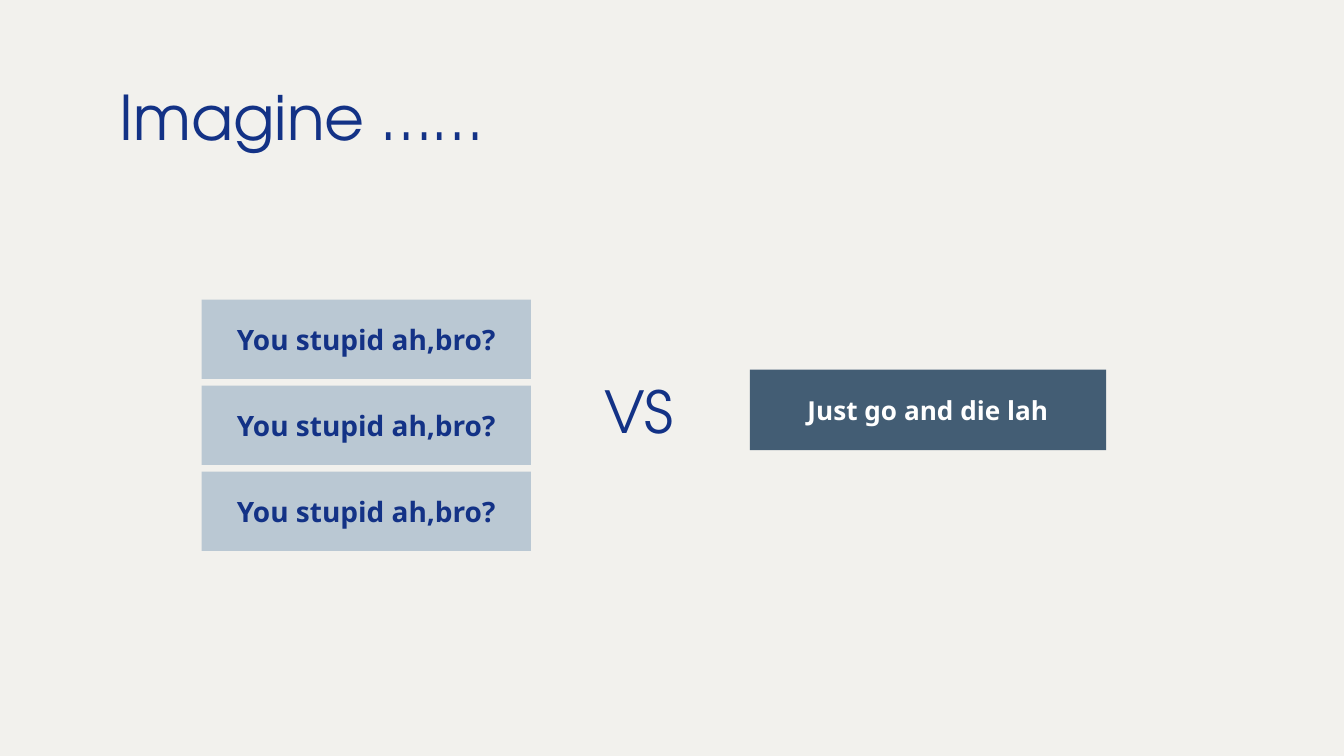
from pptx import Presentation
from pptx.dml.color import RGBColor
from pptx.enum.shapes import MSO_SHAPE
from pptx.enum.text import MSO_ANCHOR, MSO_AUTO_SIZE, PP_ALIGN
from pptx.util import Inches, Pt

BACKGROUND = RGBColor(0xF2, 0xF1, 0xED)
NAVY = RGBColor(0x13, 0x32, 0x86)
PALE_BLUE = RGBColor(0xBA, 0xC8, 0xD3)
SLATE = RGBColor(0x43, 0x5D, 0x74)
WHITE = RGBColor(0xFF, 0xFF, 0xFF)
HEADING_FONT = "TeX Gyre Adventor"
BODY_FONT = "Noto Sans"

TITLE = "Imagine ……"
VERSUS = "VS"
MILD_INSULTS = ["You stupid ah,bro?"] * 3
HARSH_INSULT = "Just go and die lah"

STACK_LEFT, STACK_TOP, STACK_PITCH = 1.5, 2.23, 0.64
MILD_SIZE = (2.45, 0.59)


def write(shape, text, font_name, size, color, align, anchor, bold=False):
    frame = shape.text_frame
    frame.text = text
    frame.word_wrap = True
    frame.auto_size = MSO_AUTO_SIZE.NONE
    frame.vertical_anchor = anchor
    frame.margin_left = frame.margin_right = Inches(0.1)
    frame.margin_top = frame.margin_bottom = Inches(0.1)
    paragraph = frame.paragraphs[0]
    paragraph.alignment = align
    font = paragraph.font
    font.name, font.size, font.bold = font_name, Pt(size), bold
    font.color.rgb = color


def add_message(slide, text, box, fill, size, color):
    shape = slide.shapes.add_shape(MSO_SHAPE.RECTANGLE, *map(Inches, box))
    shape.shadow.inherit = False
    shape.fill.solid()
    shape.fill.fore_color.rgb = fill
    shape.line.fill.background()
    write(shape, text, BODY_FONT, size, color, PP_ALIGN.CENTER, MSO_ANCHOR.MIDDLE, bold=True)


presentation = Presentation()
presentation.slide_width = Inches(10)
presentation.slide_height = presentation.slide_width * 9 // 16
slide = presentation.slides.add_slide(presentation.slide_layouts[5])
slide.background.fill.solid()
slide.background.fill.fore_color.rgb = BACKGROUND

title = slide.shapes.title
title.left, title.top, title.width, title.height = map(Inches, (0.79, 0.49, 8.43, 0.63))
write(title, TITLE, HEADING_FONT, 33, NAVY, PP_ALIGN.LEFT, MSO_ANCHOR.TOP)

for row, insult in enumerate(MILD_INSULTS):
    box = (STACK_LEFT, STACK_TOP + row * STACK_PITCH, *MILD_SIZE)
    add_message(slide, insult, box, PALE_BLUE, 15, NAVY)

add_message(slide, HARSH_INSULT, (5.58, 2.75, 2.65, 0.6), SLATE, 14, WHITE)

versus = slide.shapes.add_textbox(*map(Inches, (4.4, 2.79, 0.89, 0.53)))
write(versus, VERSUS, HEADING_FONT, 31, NAVY, PP_ALIGN.LEFT, MSO_ANCHOR.MIDDLE)

presentation.save("out.pptx")
